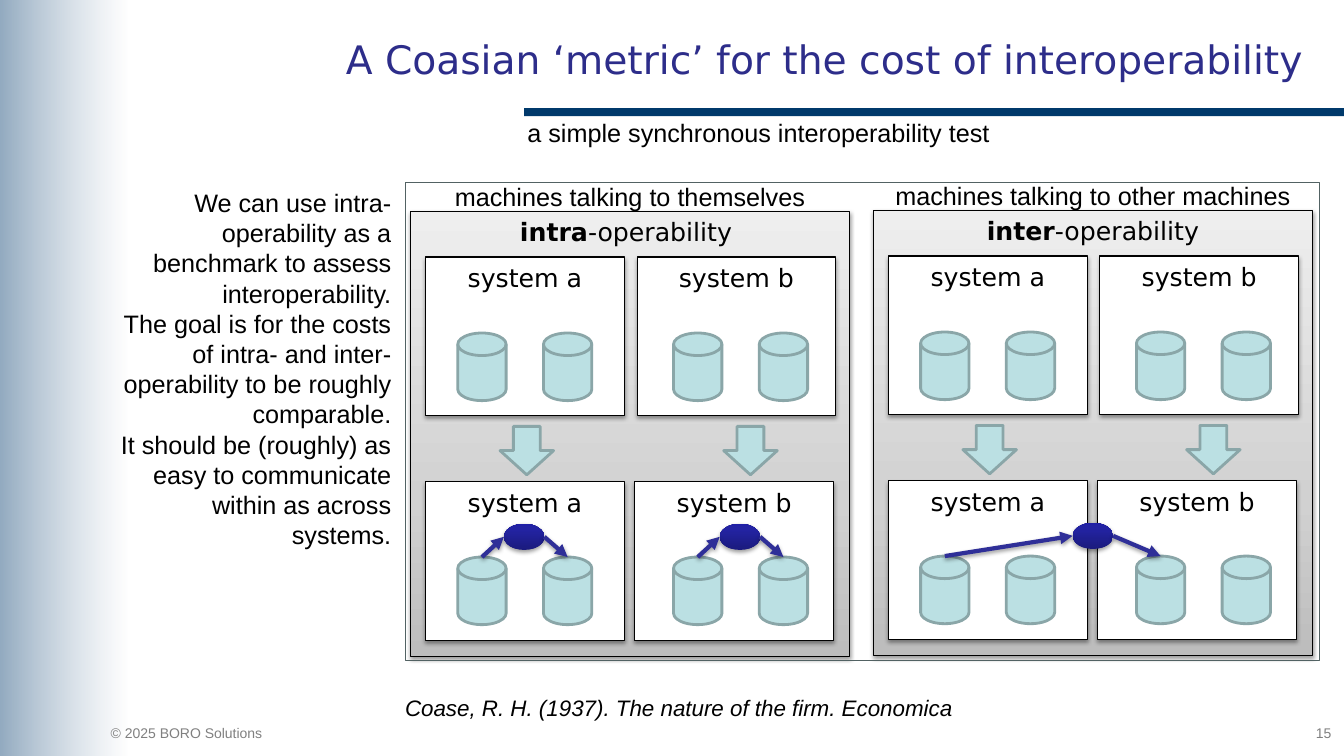
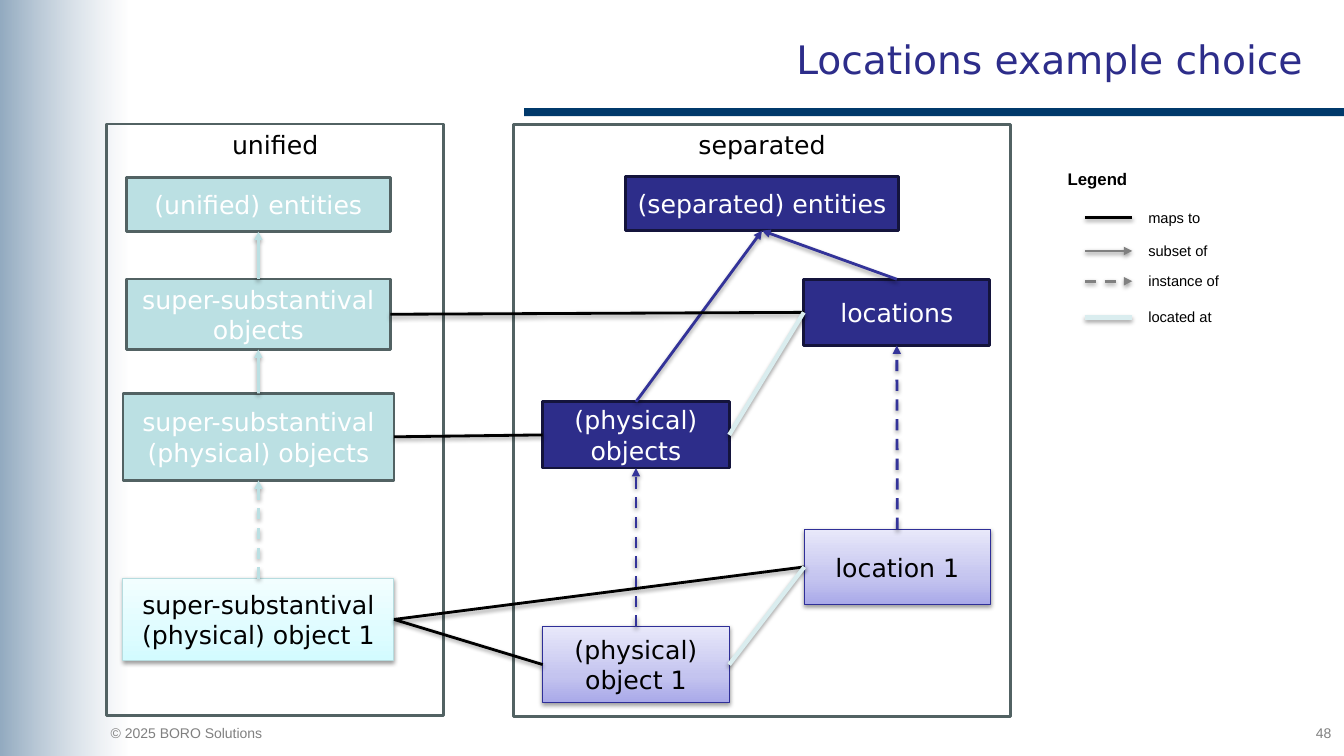
from typing import NamedTuple

from lxml import etree
from pptx import Presentation
from pptx.dml.color import RGBColor
from pptx.enum.dml import MSO_LINE
from pptx.enum.shapes import MSO_CONNECTOR, MSO_SHAPE
from pptx.enum.text import MSO_ANCHOR, PP_ALIGN
from pptx.oxml.ns import qn
from pptx.util import Inches, Pt

RECTANGLE, ELLIPSE = MSO_SHAPE.RECTANGLE, MSO_SHAPE.OVAL
CYLINDER, DOWN_ARROW = MSO_SHAPE.FLOWCHART_MAGNETIC_DISK, MSO_SHAPE.DOWN_ARROW
STRAIGHT, DASH = MSO_CONNECTOR.STRAIGHT, MSO_LINE.DASH
LEFT, CENTER, RIGHT = PP_ALIGN.LEFT, PP_ALIGN.CENTER, PP_ALIGN.RIGHT
TOP, MIDDLE = MSO_ANCHOR.TOP, MSO_ANCHOR.MIDDLE
SIDE_TOP, SIDE_LEFT, SIDE_BOTTOM, SIDE_RIGHT = range(4)

BLACK = RGBColor(0x00, 0x00, 0x00)
WHITE = RGBColor(0xFF, 0xFF, 0xFF)
GREY = RGBColor(0x80, 0x80, 0x80)
BAR_BLUE = RGBColor(0x00, 0x39, 0x6B)
BAND_BLUE = RGBColor(0x01, 0x39, 0x6C)
INDIGO = RGBColor(0x2D, 0x2D, 0x8A)
INDIGO_EDGE = RGBColor(0x14, 0x14, 0x3C)
FLOW_BLUE = RGBColor(0x2F, 0x2F, 0x98)
LINK_BLUE = RGBColor(0x33, 0x33, 0x99)
AQUA = RGBColor(0xBB, 0xE0, 0xE3)
AQUA_EDGE = RGBColor(0x8A, 0xA6, 0xA8)
AQUA_SOFT = RGBColor(0xB6, 0xDC, 0xDF)
AQUA_PALE = RGBColor(0xDA, 0xED, 0xEF)
SLATE = RGBColor(0x52, 0x62, 0x63)

# Gradients: (position %, colour), running from bottom to top
PANEL_GRADIENT = [(0, RGBColor(0xBD, 0xBD, 0xBD)), (35, RGBColor(0xD1, 0xD1, 0xD1)),
                  (100, RGBColor(0xEE, 0xEE, 0xEE))]
RELAY_GRADIENT = [(0, RGBColor(0x1B, 0x1B, 0x7E)), (80, RGBColor(0x23, 0x23, 0xA3)),
                  (100, RGBColor(0x20, 0x20, 0xA6))]
LILAC_GRADIENT = [(0, RGBColor(0xA9, 0xA9, 0xE9)), (35, RGBColor(0xC4, 0xC4, 0xEF)),
                  (100, RGBColor(0xE8, 0xE8, 0xFA))]
ICE_GRADIENT = [(0, RGBColor(0xD3, 0xFB, 0xFF)), (35, RGBColor(0xDF, 0xFC, 0xFF)),
                (100, RGBColor(0xF2, 0xFE, 0xFF))]

HEADING_FONT, TEXT_FONT = "DejaVu Sans", "Arial"

# Node looks: fill, line colour, line width, text colour, shadow
AQUA_NODE = (AQUA, SLATE, 2, WHITE, False)
INDIGO_NODE = (INDIGO, INDIGO_EDGE, 2, WHITE, False)
ICE_NODE = (ICE_GRADIENT, AQUA_SOFT, 0.75, BLACK, True)
LILAC_NODE = (LILAC_GRADIENT, FLOW_BLUE, 0.75, BLACK, True)

# Link looks: colour, width, dashed, arrowhead
MAPS_TO = (BLACK, 2, False, False)
LOCATED_AT = (AQUA_PALE, 3, False, False)
FLOW = (FLOW_BLUE, 3, False, True)


def subset_of(color):
    return color, 2, False, True


def instance_of(color):
    return color, 2, True, True


class Box(NamedTuple):
    """A rectangle in inches, whose areas are given in percent of it."""
    left: float
    top: float
    width: float
    height: float

    def point(self, across, down):
        return self.left + self.width * across / 100, self.top + self.height * down / 100

    def area(self, left, top, width, height):
        return Box(*self.point(left, top), self.width * width / 100, self.height * height / 100)

    def emu(self):
        return [Inches(length) for length in self]


PAGE = Box(0, 0, 13.33, 7.5)


def add_shadow(element):
    properties = element.spPr
    effects = properties.find(qn("a:effectLst"))
    if effects is None:
        effects = etree.SubElement(properties, qn("a:effectLst"))
    shadow = etree.SubElement(effects, qn("a:outerShdw"), blurRad="40000", dist="20000",
                              dir="5400000", rotWithShape="0")
    color = etree.SubElement(shadow, qn("a:srgbClr"), val=str(BLACK))
    set_alpha(color, 38)


def set_alpha(color_element, percent):
    etree.SubElement(color_element, qn("a:alpha"), val=str(percent * 1000))


def set_gradient(shape, stops, angle=90):
    shape.fill.gradient()
    shape.fill.gradient_angle = angle
    stop_list = shape._element.spPr.find(qn("a:gradFill")).find(qn("a:gsLst"))
    for stop in list(stop_list):
        stop_list.remove(stop)
    for position, color, *alpha in stops:
        stop = etree.SubElement(stop_list, qn("a:gs"), pos=str(position * 1000))
        color_element = etree.SubElement(stop, qn("a:srgbClr"), val=str(color))
        for percent in alpha:
            set_alpha(color_element, percent)


def write(shape, paragraphs, size=18, color=BLACK, font=TEXT_FONT, align=LEFT, anchor=TOP,
          bold=None, italic=None, wrap=True):
    """Each paragraph is a string, or a (bold start, plain rest) pair."""
    frame = shape.text_frame
    frame.word_wrap = wrap
    frame.vertical_anchor = anchor
    for index, content in enumerate(paragraphs):
        paragraph = frame.add_paragraph() if index else frame.paragraphs[0]
        paragraph.alignment = align
        paragraph.font.name = font
        paragraph.font.size = Pt(size)
        paragraph.font.color.rgb = color
        paragraph.font.bold = bold
        paragraph.font.italic = italic
        if isinstance(content, str):
            paragraph.add_run().text = content
        else:
            for words, strong in zip(content, (True, False)):
                run = paragraph.add_run()
                run.text = words
                run.font.bold = strong


def add_text(slide, box, *paragraphs, **style):
    write(slide.shapes.add_textbox(*box.emu()), paragraphs, **style)


def add_shape(slide, kind, box, fill=None, line=None, width=0.75, shadow=False):
    shape = slide.shapes.add_shape(kind, *box.emu())
    shape.shadow.inherit = False
    if fill is None:
        shape.fill.background()
    elif isinstance(fill, list):
        set_gradient(shape, fill)
    else:
        shape.fill.solid()
        shape.fill.fore_color.rgb = fill
    if line is None:
        shape.line.fill.background()
    else:
        shape.line.color.rgb = line
        shape.line.width = Pt(width)
    if shadow:
        add_shadow(shape._element)
    return shape


def add_line(slide, start, end, look):
    color, width, dashed, arrow = look
    connector = slide.shapes.add_connector(STRAIGHT, *(Inches(v) for v in (*start, *end)))
    connector.line.color.rgb = color
    connector.line.width = Pt(width)
    if dashed:
        connector.line.dash_style = DASH
    if arrow:
        outline = connector._element.spPr.find(qn("a:ln"))
        etree.SubElement(outline, qn("a:tailEnd"), type="triangle")
    add_shadow(connector._element)
    return connector


def add_base_slide(presentation, title, number):
    """Everything the slides share: bar, side band, title and footer."""
    slide = presentation.slides.add_slide(presentation.slide_layouts[6])
    add_shape(slide, RECTANGLE, PAGE.area(39, 14.3, 61, 1.07), BAR_BLUE)
    band_box = PAGE.area(0, 0, 9.5, 100)
    band = add_shape(slide, RECTANGLE, band_box)
    set_gradient(band, [(0, BAND_BLUE, 61), (100, WHITE, 41)], angle=0)
    veil = add_shape(slide, RECTANGLE, band_box, WHITE)
    set_alpha(veil._element.spPr.find(qn("a:solidFill"))[0], 30)
    add_text(slide, PAGE.area(9.2, 2, 88.45, 11.6), title, size=28, color=INDIGO,
             font=HEADING_FONT, align=RIGHT, anchor=MIDDLE)
    add_text(slide, PAGE.area(7.5, 95.2, 18.9, 3.6), "© 2025 BORO Solutions", size=10, color=GREY)
    add_text(slide, PAGE.area(90.2, 95.2, 9.6, 4.1), number, size=10, color=GREY, align=RIGHT)
    return slide


def add_operability_panel(slide, box, caption, heading, relays):
    """Two systems before and after; relays are (from cylinder, left edge, to cylinder)."""
    panel = add_shape(slide, RECTANGLE, box, PANEL_GRADIENT, BLACK, shadow=True)
    write(panel, [heading], font=HEADING_FONT, align=CENTER)
    add_text(slide, box.area(0, -8, 100, 9.1), caption, align=CENTER)

    # Systems and their data stores
    cylinder_lefts = (10.8, 30.3, 59.9, 79.4)
    lower_store = 77.7
    for top, second_left, store_top in ((10.2, 51.6, 27.3), (60.8, 51.1, lower_store)):
        for left, name in ((3.5, "system a"), (second_left, "system b")):
            system = add_shape(slide, RECTANGLE, box.area(left, top, 45.2, 35.6), WHITE, BLACK,
                               shadow=True)
            write(system, [name], font=HEADING_FONT, align=CENTER)
        for left in cylinder_lefts:
            add_shape(slide, CYLINDER, box.area(left, store_top, 11, 15.2), AQUA, AQUA_EDGE, 2)
    for left in (20.4, 71.3):
        add_shape(slide, DOWN_ARROW, box.area(left, 48.3, 12.2, 10.9), AQUA, AQUA_EDGE, 2)

    # Messages passing through relays
    for source, left, target in relays:
        relay = box.area(left, 70.2, 9.2, 5.9)
        add_shape(slide, ELLIPSE, relay, RELAY_GRADIENT, shadow=True)
        store_tops = [box.point(cylinder_lefts[i] + 5.5, lower_store) for i in (source, target)]
        add_line(slide, store_tops[0], relay.point(0, 50), FLOW)
        add_line(slide, relay.point(100, 50), store_tops[1], FLOW)


def build_metric_slide(presentation):
    slide = add_base_slide(presentation, "A Coasian ‘metric’ for the cost of interoperability", "15")
    add_text(slide, PAGE.area(38.5, 14.9, 60, 5.3), "a simple synchronous interoperability test")
    add_text(slide, PAGE.area(7.65, 24.1, 22.2, 49.9),
             "We can use intra-operability as a benchmark to assess interoperability.",
             "The goal is for the costs of intra- and inter-operability to be roughly comparable.",
             "It should be (roughly) as easy to communicate within as across systems.",
             align=RIGHT)
    add_operability_panel(slide, PAGE.area(30.53, 28, 32.7, 58.8), "machines talking to themselves",
                          ("intra", "-operability "), [(0, 21.3, 1), (2, 70.4, 3)])
    add_operability_panel(slide, PAGE.area(64.97, 27.87, 32.7, 58.8),
                          "machines talking to other machines",
                          ("inter", "-operability"), [(0, 45.4, 2)])
    add_shape(slide, RECTANGLE, PAGE.area(30.2, 24.1, 68, 63.2), line=SLATE, width=0.5)
    add_text(slide, PAGE.area(29.4, 91.2, 50.4, 4.9),
             "Coase, R. H. (1937). The nature of the firm. Economica", size=16, italic=True)


def add_choice_region(slide, box, heading, nodes):
    """A headed frame of nodes; returns the node shapes in order."""
    frame = add_shape(slide, RECTANGLE, box, line=SLATE, width=2)
    write(frame, [heading], font=HEADING_FONT, align=CENTER)
    shapes = []
    for label, place, (fill, line, width, color, shadow) in nodes:
        node = add_shape(slide, RECTANGLE, box.area(*place), fill, line, width, shadow)
        write(node, [label], color=color, font=HEADING_FONT, align=CENTER, anchor=MIDDLE)
        shapes.append(node)
    return shapes


def add_link(slide, source, source_side, target, target_side, look):
    connector = add_line(slide, (0, 0), (1, 1), look)
    connector.begin_connect(source, source_side)
    connector.end_connect(target, target_side)


def add_legend(slide, box):
    add_text(slide, box.area(0, 0, 50, 17), "Legend", size=12, bold=True, wrap=False)
    entries = [("maps to", 30, MAPS_TO), ("subset of", 48.3, subset_of(GREY)),
               ("instance of", 65, instance_of(GREY)), ("located at", 85, LOCATED_AT)]
    for label, middle, look in entries:
        add_line(slide, box.point(13.5, middle), box.point(37, middle), look)
        add_text(slide, box.area(40, middle - 7.8, 60, 15.6), label, size=10.5, wrap=False)


def build_locations_slide(presentation):
    slide = add_base_slide(presentation, "Locations example choice", "48")
    unified, substantival, physical, physical_1 = add_choice_region(
        slide, PAGE.area(7.95, 16.4, 25.05, 78.3), "unified", [
            ("(unified) entities", (5.8, 9, 78.4, 9.2), AQUA_NODE),
            ("super-substantival objects", (5.8, 26.2, 78.4, 11.9), AQUA_NODE),
            ("super-substantival (physical) objects", (4.8, 45.5, 80.5, 14.7), AQUA_NODE),
            ("super-substantival (physical) object 1", (4.8, 76.8, 80.5, 13.8), ICE_NODE)])
    separated, locations, objects, location_1, object_1 = add_choice_region(
        slide, PAGE.area(38.2, 16.5, 37, 78.3), "separated", [
            ("(separated) entities", (22.5, 8.7, 55, 9.2), INDIGO_NODE),
            ("locations", (58.4, 26.1, 37.4, 11.2), INDIGO_NODE),
            ("(physical) objects", (5.9, 46.8, 37.5, 11.2), INDIGO_NODE),
            ("location 1", (58.5, 68.3, 37.4, 12.8), LILAC_NODE),
            ("(physical) object 1", (5.9, 84.8, 37.5, 12.8), LILAC_NODE)])

    # Hierarchy links rise from top to bottom side
    for lower, upper, look in [
            (substantival, unified, subset_of(AQUA)), (physical, substantival, subset_of(AQUA)),
            (physical_1, physical, instance_of(AQUA)), (objects, separated, subset_of(LINK_BLUE)),
            (locations, separated, subset_of(LINK_BLUE)),
            (object_1, objects, instance_of(LINK_BLUE)),
            (location_1, locations, instance_of(LINK_BLUE))]:
        add_link(slide, lower, SIDE_TOP, upper, SIDE_BOTTOM, look)

    # Mapping and location links run from right to left side
    for source, target, look in [
            (substantival, locations, MAPS_TO), (physical, objects, MAPS_TO),
            (physical_1, object_1, MAPS_TO), (physical_1, location_1, MAPS_TO),
            (objects, locations, LOCATED_AT), (object_1, location_1, LOCATED_AT)]:
        add_link(slide, source, SIDE_RIGHT, target, SIDE_LEFT, look)
    add_legend(slide, PAGE.area(78.7, 21.6, 15, 24))


def main():
    presentation = Presentation()
    presentation.slide_width, presentation.slide_height = PAGE.emu()[2:]
    build_metric_slide(presentation)
    build_locations_slide(presentation)
    presentation.save("out.pptx")


if __name__ == "__main__":
    main()
